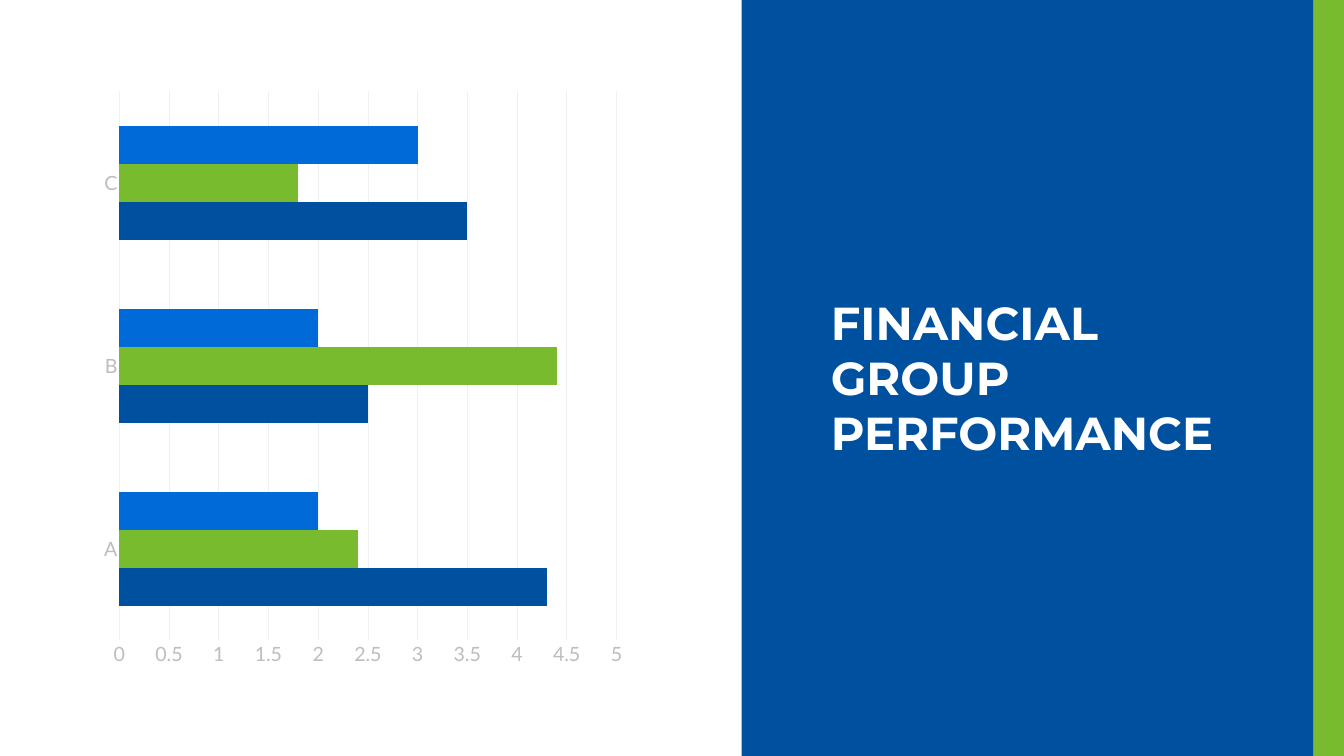
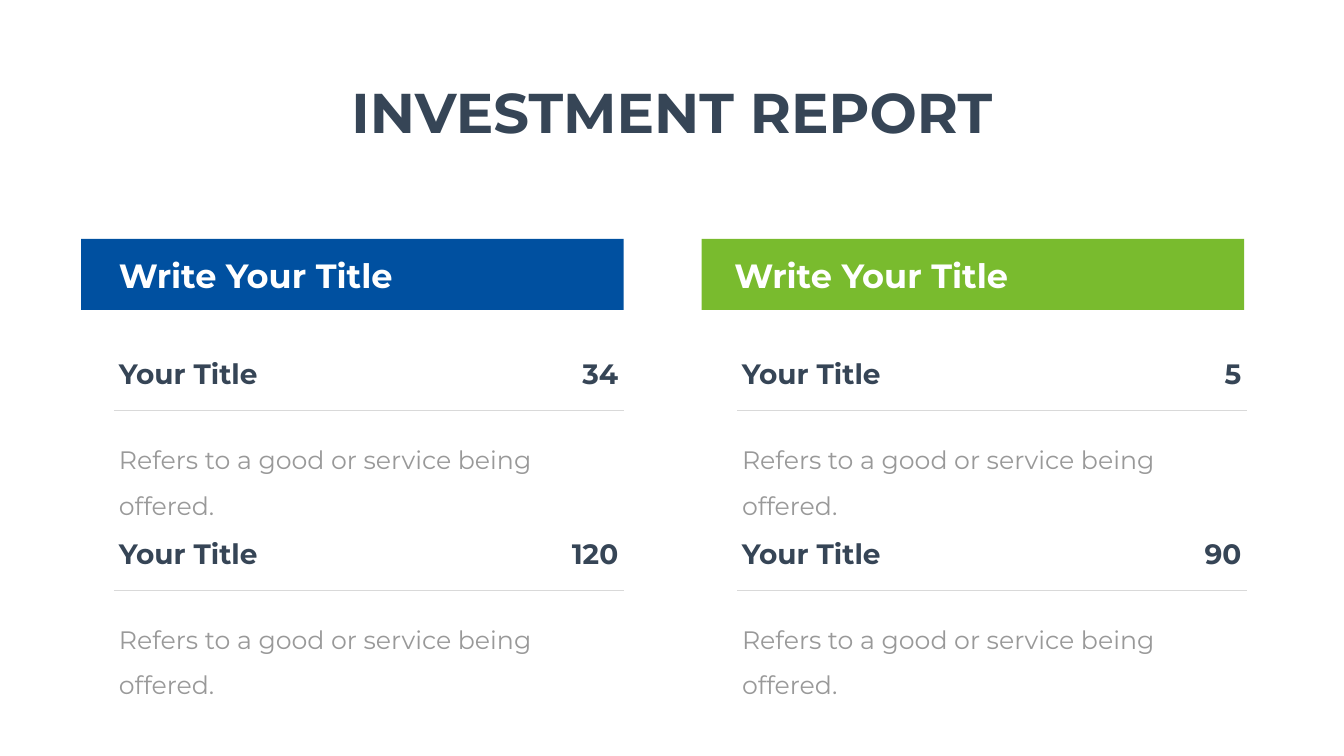
from dataclasses import dataclass

from lxml import etree
from pptx import Presentation
from pptx import util as u
from pptx.chart import data
from pptx.dml import color
from pptx.enum import chart as ch
from pptx.enum import shapes, text
from pptx.oxml import ns

Pt = u.Pt
COLORS = {
    "blue": "0050A0", "bright": "006AD8", "green": "79BB2E", "white": "FFFFFF",
    "ink": "364556", "gray": "999999", "axis": "BDBDBD", "rule": "D9D9D9", "grid": "F0F0F0",
}
HEADING_FONT, CHART_FONT = "Montserrat", "Lato"
SLIDE_W, SLIDE_H = 1919.5, 1080
STRIPE_W = 43.2
PANEL_X = 1059.1
BAND_W, BAND_H, BAND_Y = 774.7, 101.5, 341.3
ITEM_Y, ITEM_STEP, ITEM_W = 506.2, 257, 728
DESCRIPTION = "Refers to a good or service being offered."


@dataclass
class Box:
    x: float
    y: float
    w: float
    h: float

    def emu(self) -> tuple:
        return Pt(self.x), Pt(self.y), Pt(self.w), Pt(self.h)


@dataclass
class Item:
    title: str
    value: str
    body: str = DESCRIPTION


@dataclass
class Column:
    heading: str
    fill: str
    band_x: float
    heading_x: float
    item_x: float
    items: list[Item]


COLUMNS = [
    Column("Write Your Title", "blue", 115.9, 162.7, 162.7,
           [Item("Your Title", "34"), Item("Your Title", "120")]),
    Column("Write Your Title", "green", 1002.2, 1041.8, 1052.6,
           [Item("Your Title", "5"), Item("Your Title", "90")]),
]
CATEGORIES = ["A", "B", "C"]
SERIES = [
    ("Series 1", "blue", (4.3, 2.5, 3.5)),
    ("Series 2", "green", (2.4, 4.4, 1.8)),
    ("Series 3", "bright", (2, 2, 3)),
]


def rgb(name: str) -> color.RGBColor:
    return color.RGBColor.from_string(COLORS[name])


def style_font(font, size: float, col: str, name: str = HEADING_FONT, bold: bool = False) -> None:
    font.size, font.name, font.bold = Pt(size), name, bold
    font.color.rgb = rgb(col)


def write(sp, txt: str, *, size: float, col: str, bold: bool = True,
          align=text.PP_ALIGN.LEFT, spacing: float = 1.0, before: float = 0,
          inset: tuple = (7.2, 3.6)) -> None:
    tf = sp.text_frame
    tf.word_wrap = True
    tf.auto_size = text.MSO_AUTO_SIZE.SHAPE_TO_FIT_TEXT
    tf.vertical_anchor = text.MSO_ANCHOR.TOP
    tf.margin_left = tf.margin_right = Pt(inset[0])
    tf.margin_top = tf.margin_bottom = Pt(inset[1])
    p = tf.paragraphs[0]
    p.alignment, p.line_spacing, p.space_before = align, spacing, Pt(before)
    r = p.add_run()
    r.text = txt
    style_font(r.font, size, col, bold=bold)


def add_text(s, box: Box, txt: str, **fmt) -> None:
    write(s.shapes.add_textbox(*box.emu()), txt, **fmt)


def add_title(s, box: Box, txt: str, **fmt) -> None:
    """Fill the title placeholder and bring it to the front."""
    sp = s.shapes.title
    sp.left, sp.top, sp.width, sp.height = box.emu()
    write(sp, txt, **fmt)
    sp.element.getparent().append(sp.element)


def add_band(s, box: Box, fill: str) -> None:
    sp = s.shapes.add_shape(shapes.MSO_SHAPE.RECTANGLE, *box.emu())
    sp.shadow.inherit = False
    sp.fill.solid()
    sp.fill.fore_color.rgb = rgb(fill)
    sp.line.fill.background()


def add_rule(s, x: float, y: float, w: float) -> None:
    line = s.shapes.add_connector(shapes.MSO_CONNECTOR.STRAIGHT, Pt(x), Pt(y), Pt(x + w), Pt(y))
    line.line.color.rgb = rgb("rule")
    line.line.width = Pt(0.5)
    etree.SubElement(line.element.spPr, ns.qn("a:effectLst"))


def set_plot_area(chart, x: float, y: float, w: float, h: float) -> None:
    """Fix the inner plot area, in fractions of the chart."""
    area = chart.element.find(".//" + ns.qn("c:plotArea"))
    for old in area.findall(ns.qn("c:layout")):
        area.remove(old)
    layout = etree.Element(ns.qn("c:layout"))
    manual = etree.SubElement(layout, ns.qn("c:manualLayout"))
    settings = {"layoutTarget": "inner", "xMode": "edge", "yMode": "edge",
                "x": x, "y": y, "w": w, "h": h}
    for tag, val in settings.items():
        etree.SubElement(manual, ns.qn(f"c:{tag}")).set("val", str(val))
    area.insert(0, layout)


def add_performance_chart(s, box: Box) -> None:
    cd = data.CategoryChartData()
    cd.categories = CATEGORIES
    for name, _, values in SERIES:
        cd.add_series(name, values)
    chart = s.shapes.add_chart(ch.XL_CHART_TYPE.BAR_CLUSTERED, *box.emu(), cd).chart
    chart.has_legend = chart.has_title = False
    style_font(chart.font, 28, "gray", CHART_FONT)
    plot = chart.plots[0]
    plot.gap_width, plot.vary_by_categories = 182, False
    for series, (_, fill, _) in zip(plot.series, SERIES):
        series.format.fill.solid()
        series.format.fill.fore_color.rgb = rgb(fill)

    cat, val = chart.category_axis, chart.value_axis
    for axis in (cat, val):
        axis.major_tick_mark = axis.minor_tick_mark = ch.XL_TICK_MARK.NONE
        style_font(axis.tick_labels.font, 28, "axis", CHART_FONT)
    cat.has_major_gridlines = False
    val.has_major_gridlines = True
    for line in (cat.format.line, val.major_gridlines.format.line):
        line.color.rgb = rgb("grid")
        line.width = Pt(0.75)
    val.format.line.fill.background()
    val.minimum_scale, val.maximum_scale, val.major_unit = 0, 5, 0.5
    val.tick_labels.number_format = "General"
    val.tick_labels.number_format_is_linked = False
    set_plot_area(chart, 0.05, 0.02, 0.92, 0.92)


def add_item(s, item: Item, x: float, y: float) -> None:
    label = {"size": 40, "col": "ink"}
    add_text(s, Box(x, y, 291, 55.4), item.title, **label)
    add_text(s, Box(x + ITEM_W - 161.2, y, 160.6, 55.4), item.value,
             align=text.PP_ALIGN.RIGHT, **label)
    add_rule(s, x, y + 79.2, ITEM_W)
    add_text(s, Box(x - 10.1, y + 98.6, 760.3, 75.6), item.body, size=36, col="gray",
             bold=False, spacing=1.5, before=7.2, inset=(17.3, 8.6))


def add_column(s, col: Column) -> None:
    add_band(s, Box(col.band_x, BAND_Y, BAND_W, BAND_H), col.fill)
    add_text(s, Box(col.heading_x, 360, 540, 65.5), col.heading, size=48, col="white")
    for i, item in enumerate(col.items):
        add_item(s, item, col.item_x, ITEM_Y + i * ITEM_STEP)


def build_performance(s) -> None:
    stripe_x = SLIDE_W - STRIPE_W
    add_performance_chart(s, Box(131.8, 113, 771.8, 853.2))
    add_band(s, Box(PANEL_X, 0, stripe_x - PANEL_X, SLIDE_H), "blue")
    add_band(s, Box(stripe_x, 0, STRIPE_W, SLIDE_H), "green")
    add_title(s, Box(1179.4, 416.2, 576.7, 247), "FINANCIAL GROUP PERFORMANCE",
              size=66, col="white")


def build_report(s) -> None:
    add_title(s, Box(177.1, 106.6, 1565.3, 104.4), "INVESTMENT REPORT",
              size=80, col="ink", align=text.PP_ALIGN.CENTER)
    for col in COLUMNS:
        add_column(s, col)


def main() -> None:
    prs = Presentation()
    prs.slide_width, prs.slide_height = Pt(SLIDE_W), Pt(SLIDE_H)
    title_only = prs.slide_layouts.get_by_name("Title Only")
    for build in (build_performance, build_report):
        build(prs.slides.add_slide(title_only))
    prs.save("out.pptx")


if __name__ == "__main__":
    main()
